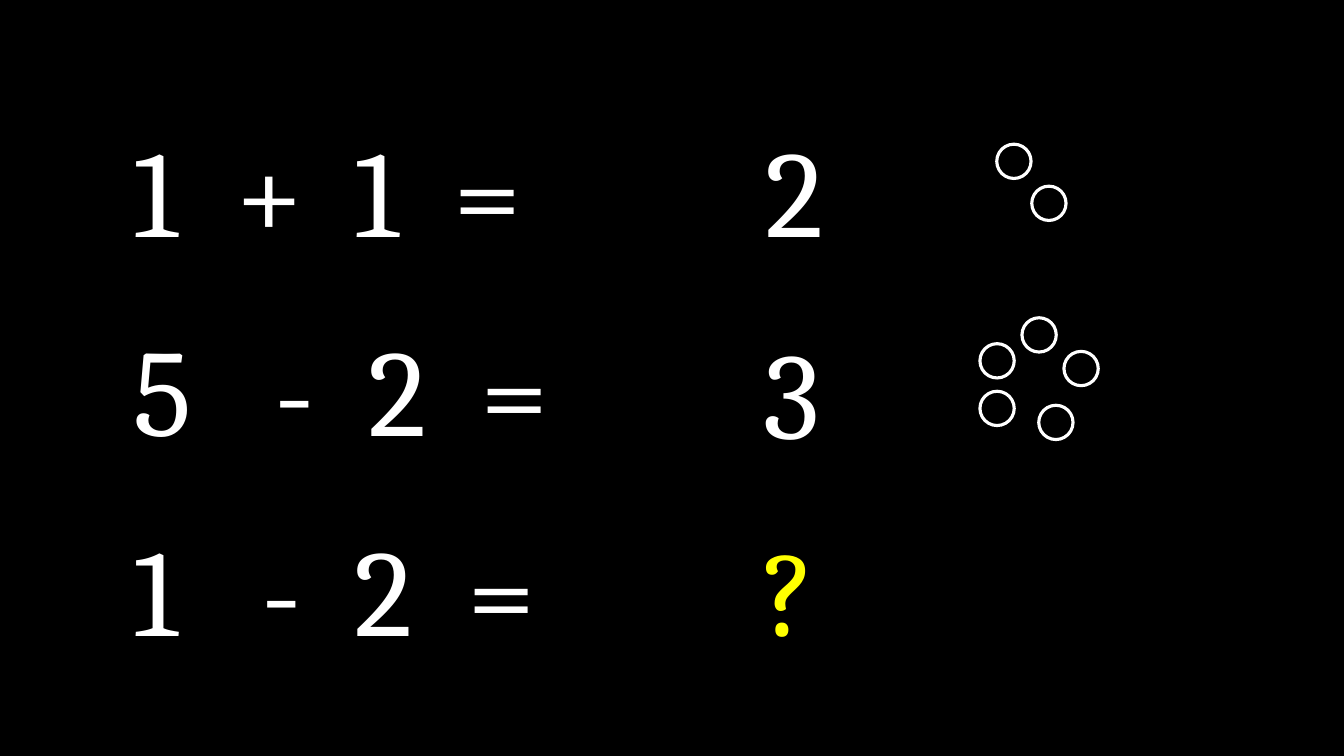
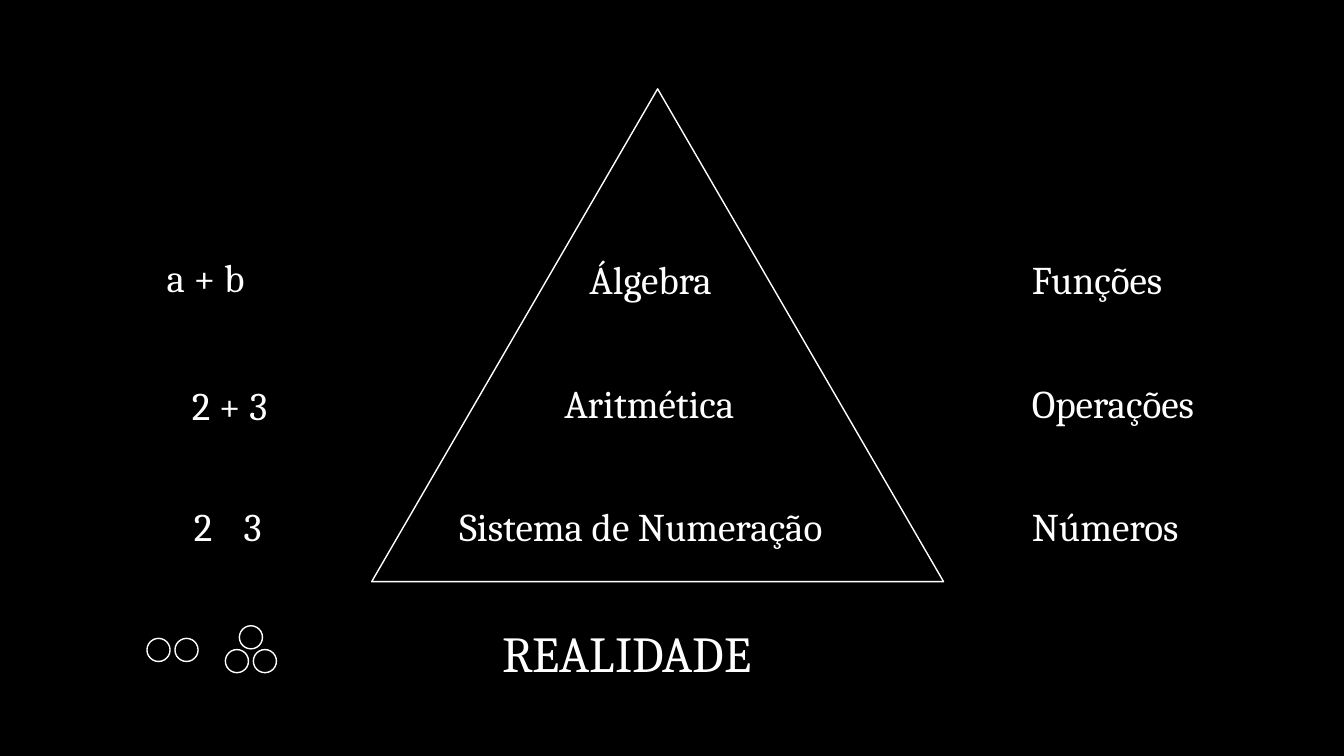
from lxml.etree import SubElement
from pptx import Presentation
from pptx.dml.color import RGBColor
from pptx.enum.shapes import MSO_SHAPE as Shape
from pptx.enum.text import MSO_ANCHOR as Anchor, MSO_AUTO_SIZE as AutoSize, PP_ALIGN as Align
from pptx.oxml.ns import qn
from pptx.util import Pt

BLACK = RGBColor(0x00, 0x00, 0x00)
WHITE = RGBColor(0xFF, 0xFF, 0xFF)
YELLOW = RGBColor(0xFF, 0xFF, 0x00)
FONT = "Cambria"

SUM_SIZE = 88
LABEL_SIZE = 28
SUM_TOP, SUM_STEP = 78, 142.5
LEVEL_TOP, LEVEL_STEP = 179, 88

SUMS = [
    ("1\t+\t1\t=", (73, 158, 229)),
    ("5\t-\t2\t=", (101, 168, 248.5)),
    ("1\t-\t2\t=", (91.5, 158.5, 239)),
]
ANSWERS = [("2", 540, 78, WHITE), ("3", 538, 222.5, WHITE), ("?", 538, 363, YELLOW)]
COUNTERS = [
    (712, 103), (737, 133),
    (700, 245.5), (700, 279.5), (730, 227), (760, 251), (742, 289.5),
]

LEVELS = [
    ("Álgebra", 414, 111, "Funções"),
    ("Aritmética", 396, 148, "Operações"),
    ("Sistema de Numeração", 321, 297, "Números"),
]
SMALL_COUNTERS = [(105, 456), (125, 456), (171, 447), (161, 464), (181, 464)]


def add_slide(deck):
    return deck.slides.add_slide(deck.slide_layouts[6])


def set_tabs(para, stops):
    tab_list = SubElement(para._p.get_or_add_pPr(), qn("a:tabLst"))
    for stop in stops:
        SubElement(tab_list, qn("a:tab"), pos=str(Pt(stop)), algn="l")


def add_text(page, text, left, top, width, size, color=WHITE,
             anchor=Anchor.BOTTOM, align=Align.LEFT, tabs=()):
    box = page.shapes.add_textbox(Pt(left), Pt(top), Pt(width), Pt(size * 1.2 + 7.2))
    frame = box.text_frame
    frame_format = {
        "word_wrap": True,
        "auto_size": AutoSize.SHAPE_TO_FIT_TEXT,
        "vertical_anchor": anchor,
    }
    for name, value in frame_format.items():
        setattr(frame, name, value)
    para = frame.paragraphs[0]
    para.alignment = align
    if tabs:
        set_tabs(para, tabs)
    span = para.add_run()
    span.text = text
    for name, value in {"name": FONT, "size": Pt(size)}.items():
        setattr(span.font, name, value)
    span.font.color.rgb = color


def add_outline(page, kind, left, top, width, height, weight):
    shape = page.shapes.add_shape(kind, Pt(left), Pt(top), Pt(width), Pt(height))
    shape.shadow.inherit = False
    shape.fill.background()
    shape.line.color.rgb = WHITE
    shape.line.width = Pt(weight)


def add_circles(page, places, diameter, weight):
    for left, top in places:
        add_outline(page, Shape.OVAL, left, top, diameter, diameter, weight)


def build_sums(deck):
    page = add_slide(deck)
    for row, (text, tabs) in enumerate(SUMS):
        add_text(page, text, 88, SUM_TOP + row * SUM_STEP, 440, SUM_SIZE,
                 anchor=Anchor.TOP, tabs=tabs)
    add_circles(page, COUNTERS, 24.5, 2.25)
    for text, left, top, color in ANSWERS:
        add_text(page, text, left, top, 60, SUM_SIZE, color, Anchor.TOP)


def build_pyramid(deck):
    page = add_slide(deck)
    add_outline(page, Shape.ISOSCELES_TRIANGLE, 265.5, 63.5, 408.5, 352, 1)
    add_text(page, "REALIDADE", 351.5, 440.5, 237, 36)
    for row, (level, left, width, topic) in enumerate(LEVELS):
        top = LEVEL_TOP + row * LEVEL_STEP
        add_text(page, level, left, top, width, LABEL_SIZE)
        add_text(page, topic, 730, top, 141, LABEL_SIZE)
    add_circles(page, SMALL_COUNTERS, 16.5, 1)
    add_text(page, "a + b", 112, 177, 85, LABEL_SIZE)
    add_text(page, "2 + 3", 105, 268.5, 93, LABEL_SIZE, align=Align.RIGHT)
    add_text(page, "2\t3", 131.5, 355.5, 80, LABEL_SIZE, tabs=(35.5,))


def main():
    deck = Presentation()
    deck.slide_width, deck.slide_height = Pt(960), Pt(540)
    backdrop = deck.slide_master.background.fill
    backdrop.solid()
    backdrop.fore_color.rgb = BLACK
    build_sums(deck)
    build_pyramid(deck)
    deck.save("out.pptx")


if __name__ == "__main__":
    main()
